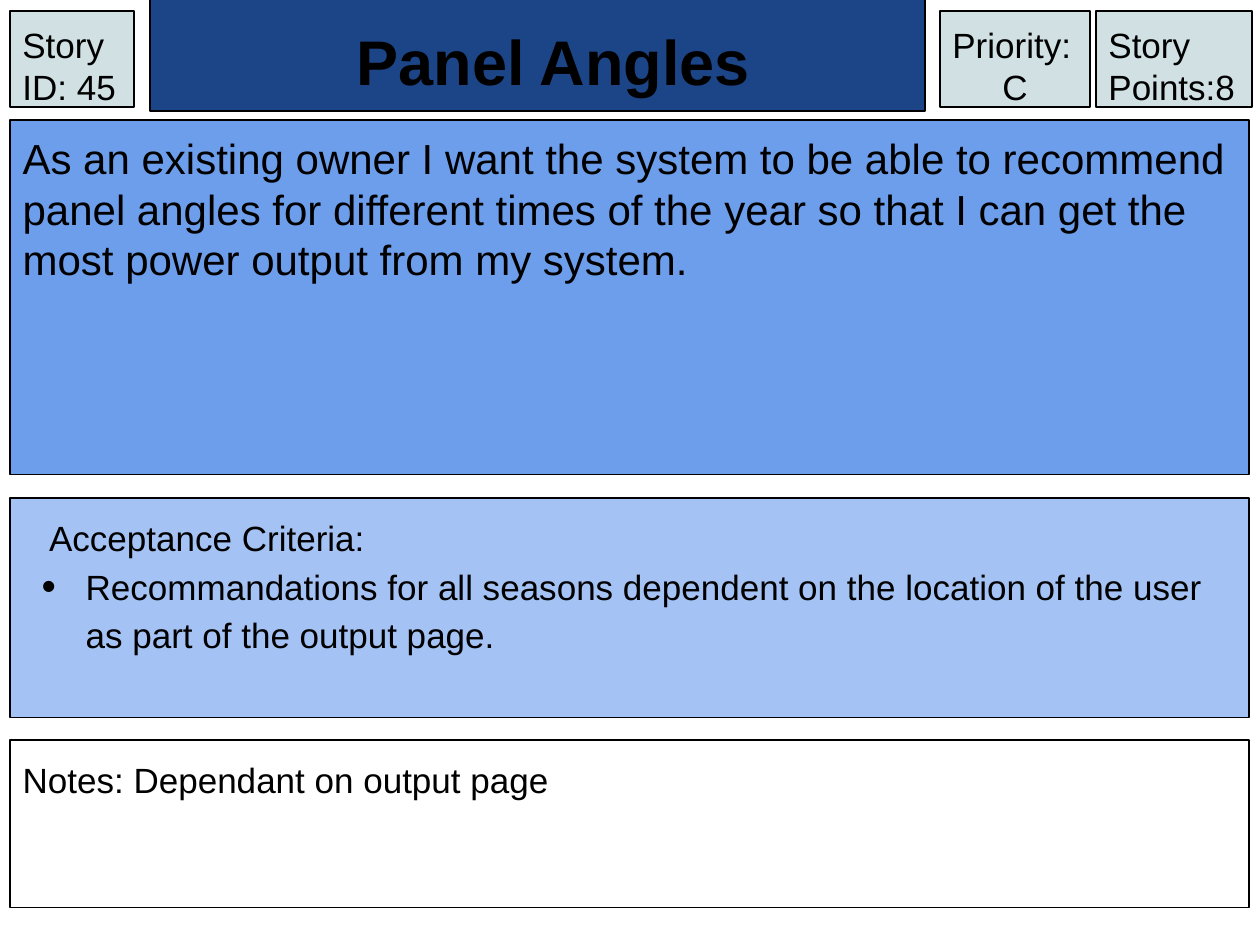
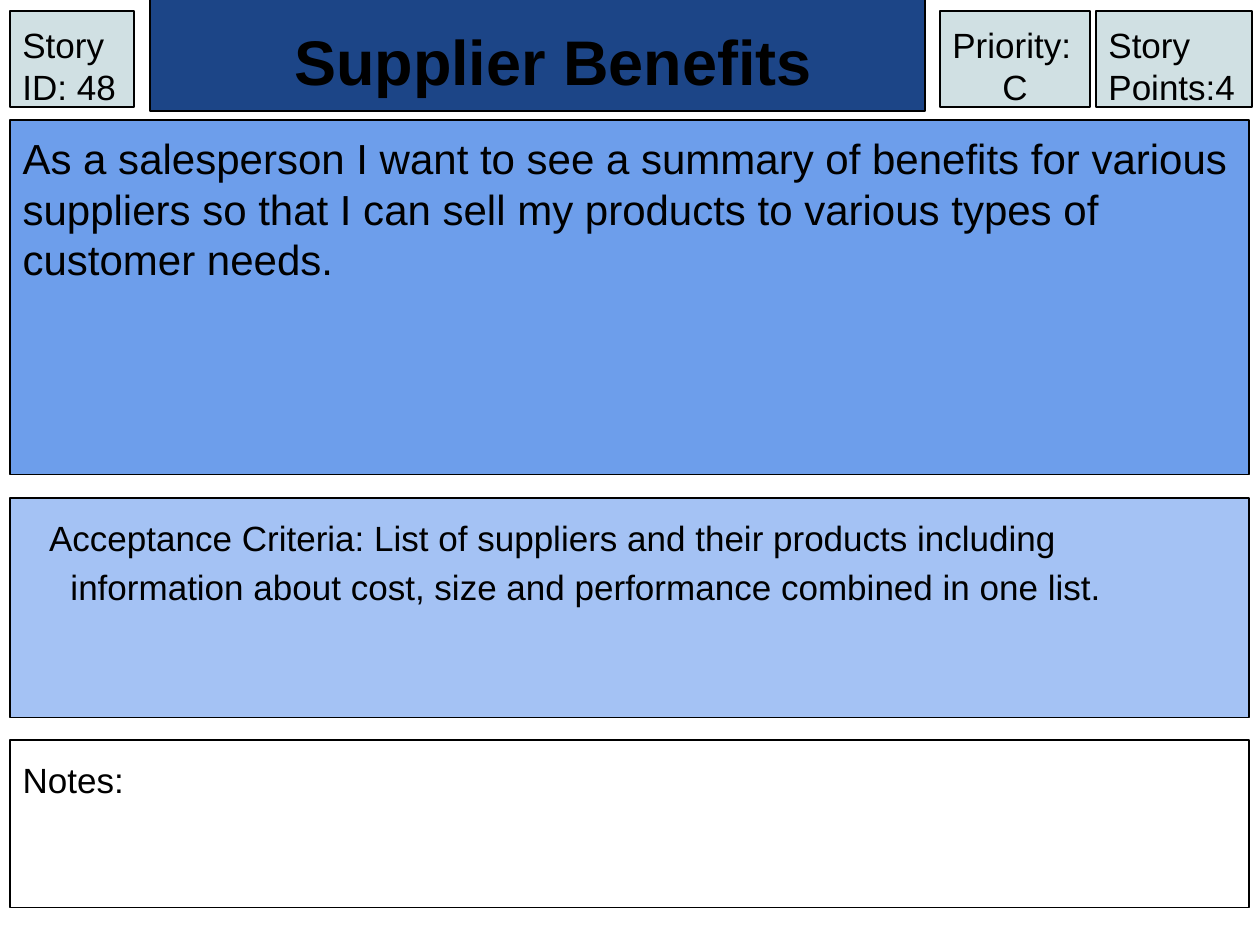
from dataclasses import dataclass

from lxml.etree import SubElement
from pptx import Presentation
from pptx.dml.color import RGBColor
from pptx.enum.shapes import MSO_SHAPE
from pptx.enum.text import MSO_ANCHOR, MSO_AUTO_SIZE, PP_ALIGN
from pptx.oxml.ns import qn
from pptx.util import Inches, Pt

PIXEL = Inches(1) / 126
FONT = "Arial"
BLACK = "000000"
TITLE_FILL = "1C4587"
STORY_FILL = "6D9EEB"
CRITERIA_FILL = "A4C2F4"
TAG_FILL = "D0E0E3"
BAND_LEFT, BAND_WIDTH = 10, 1239
TAG_TOP, TAG_HEIGHT = 11, 96
COMPARISON_LAYOUT = 4


@dataclass
class Story:
    """Wording of one story card."""
    number: int
    title: str
    priority: str
    points: int
    wish: str
    criteria: str
    checks: tuple = ()
    notes: str = "Notes:"


STORIES = (
    Story(45, "Panel Angles", "C", 8,
          "As an existing owner I want the system to be able to recommend panel "
          "angles for different times of the year so that I can get the most "
          "power output from my system.",
          "Acceptance Criteria:",
          ("Recommandations for all seasons dependent on the location of the "
           "user as part of the output page.",),
          "Notes: Dependant on output page"),
    Story(48, "Supplier Benefits", "C", 4,
          "As a salesperson I want to see a summary of benefits for various "
          "suppliers so that I can sell my products to various types of "
          "customer needs.",
          "Acceptance Criteria: List of suppliers and their products including "
          "information about cost, size and performance combined in one list."),
)


def px(length):
    """Turn pixels into EMU."""
    return round(length * PIXEL)


def color(value):
    """Turn a hex string into a colour."""
    return RGBColor.from_string(value)


def style_box(shape, box, fill=None, anchor=MSO_ANCHOR.TOP):
    """Place a shape, outline and fill it, and return its text frame."""
    shape.left, shape.top, shape.width, shape.height = map(px, box)
    if fill:
        shape.fill.solid()
        shape.fill.fore_color.rgb = color(fill)
    else:
        shape.fill.background()
    shape.line.color.rgb = color(BLACK)
    shape.line.width = Pt(0.75)
    frame = shape.text_frame
    frame.word_wrap = True
    frame.auto_size = MSO_AUTO_SIZE.SHAPE_TO_FIT_TEXT
    frame.vertical_anchor = anchor
    frame.margin_left = frame.margin_right = Inches(0.1)
    frame.margin_top = frame.margin_bottom = Inches(0.1)
    return frame


def set_bullet(paragraph, bullet):
    """Give a paragraph a bullet, or switch its bullet off."""
    properties = paragraph._p.get_or_add_pPr()
    if not bullet:
        SubElement(properties, qn("a:buNone"))
        return
    bullet_color = SubElement(properties, qn("a:buClr"))
    SubElement(bullet_color, qn("a:srgbClr"), val=BLACK)
    SubElement(properties, qn("a:buSzPct"), val="117000")
    SubElement(properties, qn("a:buFont"), typeface=FONT)
    SubElement(properties, qn("a:buChar"), char=bullet)


def write(paragraph, text, size=20, bold=False, align=PP_ALIGN.LEFT,
          margin=0, indent=0, spacing=1.0, bullet=None):
    """Write one formatted paragraph."""
    set_bullet(paragraph, bullet)
    properties = paragraph._p.get_or_add_pPr()
    properties.set("marL", str(Inches(margin)))
    properties.set("indent", str(Inches(indent)))
    paragraph.alignment = align
    paragraph.line_spacing = spacing
    paragraph.space_before = paragraph.space_after = Pt(0)
    span = paragraph.add_run()
    span.text = text
    span.font.name = FONT
    span.font.size = Pt(size)
    span.font.bold = bold
    span.font.color.rgb = color(BLACK)


def add_title(page, text, box):
    """Fill the title band."""
    frame = style_box(page.shapes.title, box, TITLE_FILL, MSO_ANCHOR.BOTTOM)
    write(frame.paragraphs[0], text, 36, True, PP_ALIGN.CENTER, indent=0.25)


def add_wish(holder, text, box):
    """Fill the band with the user's wish."""
    frame = style_box(holder, box, STORY_FILL)
    write(frame.paragraphs[0], text, 24)


def add_criteria(holder, heading, checks, box):
    """Fill the band with the acceptance criteria."""
    frame = style_box(holder, box, CRITERIA_FILL)
    write(frame.paragraphs[0], heading, margin=0.38, indent=-0.17, spacing=1.15)
    for check in checks:
        write(frame.add_paragraph(), check, margin=0.5, indent=-0.35,
              spacing=1.15, bullet="•")


def add_notes(holder, text, box):
    """Fill the notes band."""
    paragraph = style_box(holder, box).paragraphs[0]
    paragraph.level = 1
    write(paragraph, text, margin=0.38, indent=-0.38, spacing=1.15)


def add_tag(page, left, width, lines):
    """Add one header tag whose later lines are centred."""
    tag = page.shapes.add_shape(MSO_SHAPE.RECTANGLE, 0, 0, 0, 0)
    tag.shadow.inherit = False
    frame = style_box(tag, (left, TAG_TOP, width, TAG_HEIGHT), TAG_FILL)
    write(frame.paragraphs[0], lines[0])
    for line in lines[1:]:
        write(frame.add_paragraph(), line, align=PP_ALIGN.CENTER)


def add_story(deck, story):
    """Add one story card."""
    page = deck.slides.add_slide(deck.slide_layouts[COMPARISON_LAYOUT])
    _, wish, criteria, notes, spare = page.placeholders
    spare.element.getparent().remove(spare.element)
    add_title(page, story.title, (150, 8, 775, 103))
    add_wish(wish, story.wish, (BAND_LEFT, 120, BAND_WIDTH, 367))
    add_criteria(criteria, story.criteria, story.checks,
                 (BAND_LEFT, 498, BAND_WIDTH, 232))
    add_notes(notes, story.notes, (BAND_LEFT, 740, BAND_WIDTH, 180))
    add_tag(page, 1096, 156, [f"Story Points:{story.points}"])
    add_tag(page, 940, 150, ["Priority:", story.priority])
    add_tag(page, BAND_LEFT, 124, [f"Story ID: {story.number}"])


def main():
    """Build and save the story cards."""
    deck = Presentation()
    deck.slide_width, deck.slide_height = Inches(10), Inches(7.5)
    for story in STORIES:
        add_story(deck, story)
    deck.save("out.pptx")


if __name__ == "__main__":
    main()
